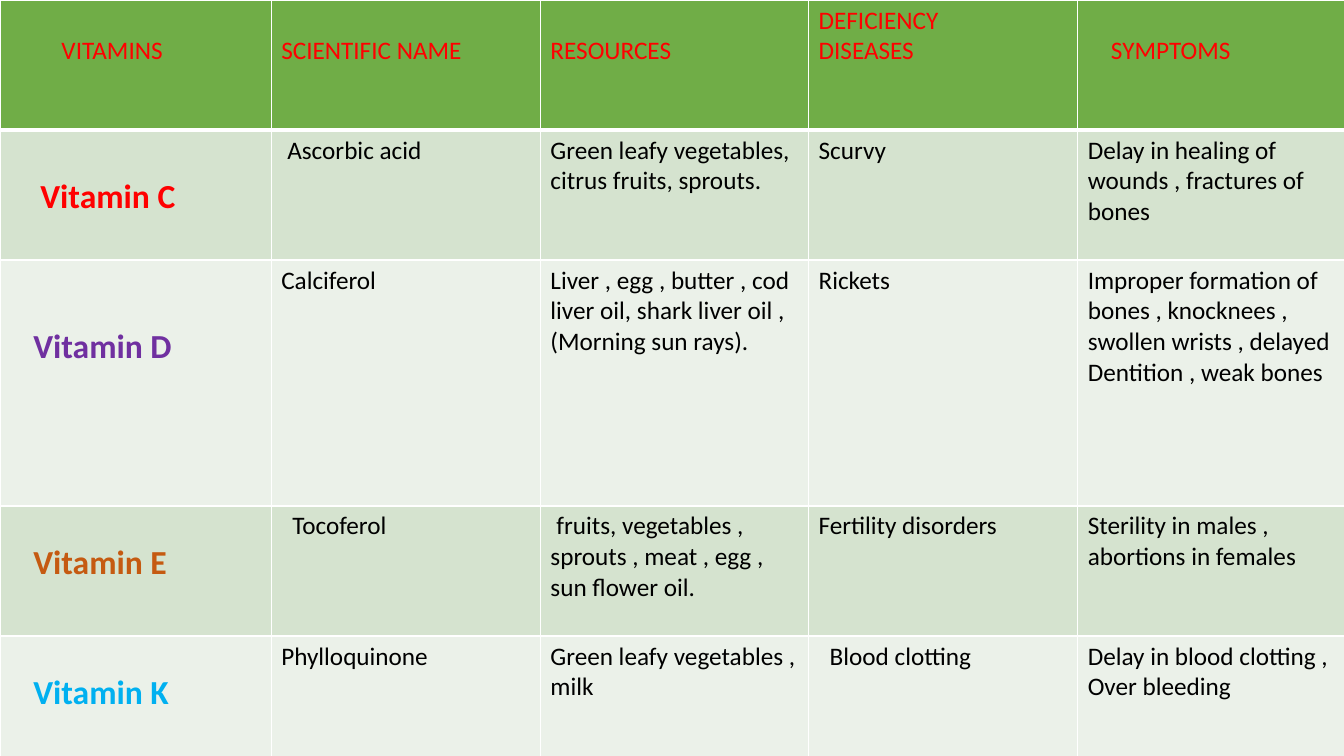
"""Build a slide with a table of vitamins, their sources and deficiency diseases."""
from dataclasses import dataclass

import pptx
import pptx.dml.color
import pptx.oxml
import pptx.oxml.ns
import pptx.util
from pptx.util import Inches


@dataclass(frozen=True)
class Theme:
    """Colours, font and type sizes of the slide."""
    font: str = "Calibri"
    body_size: int = 18
    name_size: int = 24
    header_fill: str = "70AD47"
    bands: tuple = ("D5E3CF", "EBF1E9")
    header_text: str = "FF0000"
    body_text: str = "000000"
    border: str = "FFFFFF"
    names: tuple = ("FF0000", "7030A0", "C55A11", "00B0F0")


HEADERS = ["VITAMINS", "SCIENTIFIC NAME", "RESOURCES", "DEFICIENCY\nDISEASES", "SYMPTOMS"]
VITAMINS = [
    ["Vitamin C", "Ascorbic acid", "Green leafy vegetables, citrus fruits, sprouts.",
     "Scurvy", "Delay in healing of wounds , fractures of bones"],
    ["Vitamin D", "Calciferol",
     "Liver , egg , butter , cod liver oil, shark liver oil ,\n(Morning sun rays).",
     "Rickets",
     "Improper formation of bones , knocknees , swollen wrists , delayed\n"
     "Dentition , weak bones"],
    ["Vitamin E", "Tocoferol", "fruits, vegetables , sprouts , meat , egg , sun flower oil.",
     "Fertility disorders", "Sterility in males , abortions in females"],
    ["Vitamin K", "Phylloquinone", "Green leafy vegetables , milk",
     "Blood clotting", "Delay in blood clotting ,\nOver bleeding"],
]
COL_WIDTHS = [2.69, 2.67, 2.66, 2.67, 2.65]
ROW_HEIGHTS = [1.29, 1.29, 2.44, 1.29, 1.29]
INDENTS = {(0, 0): 0.51, (0, 4): 0.23, (1, 0): 0.3, (2, 0): 0.23, (3, 0): 0.23,
           (4, 0): 0.23, (1, 1): 0.06, (3, 1): 0.11, (3, 2): 0.06, (4, 3): 0.11}
NAME_TOPS = [0.46, 0.66, 0.36, 0.36]


class Deck:
    """Hold the theme and the current slide, and draw elements on it."""

    def __init__(self, prs, theme):
        """Add a blank slide to the presentation."""
        self.theme = theme
        self.s = prs.slides.add_slide(prs.slide_layouts[6])

    def table(self, x, y, widths, heights):
        """Add an empty table with the given column widths and row heights."""
        frame = self.s.shapes.add_table(len(heights), len(widths), Inches(x), Inches(y),
                                        Inches(sum(widths)), Inches(sum(heights)))
        for col, width in zip(frame.table.columns, widths):
            col.width = Inches(width)
        for row, height in zip(frame.table.rows, heights):
            row.height = Inches(height)
        return frame.table

    def borders(self, cell, **widths):
        """Draw the four cell borders, one point wide unless told otherwise."""
        tc_pr = cell._tc.get_or_add_tcPr()
        for side in "LRTB":
            width = pptx.util.Pt(widths.get(side, 1))
            tc_pr.append(pptx.oxml.parse_xml(
                f'<a:ln{side} {pptx.oxml.ns.nsdecls("a")} w="{width}"><a:solidFill>'
                f'<a:srgbClr val="{self.theme.border}"/></a:solidFill></a:ln{side}>'))

    def cell(self, cell, text, fill, color, size, bold=False, top=0.05, indent=0):
        """Fill a table cell and write its styled text."""
        cell.fill.solid()
        cell.fill.fore_color.rgb = pptx.dml.color.RGBColor.from_string(fill)
        cell.margin_top = Inches(top)
        tf = cell.text_frame
        tf.text = text
        style = {"name": self.theme.font, "size": pptx.util.Pt(size), "bold": bold}
        for p in tf.paragraphs:
            if indent:
                p._p.get_or_add_pPr().set("indent", str(Inches(indent)))
            for r in p.runs:
                for key, value in style.items():
                    setattr(r.font, key, value)
                r.font.color.rgb = pptx.dml.color.RGBColor.from_string(color)


def main():
    """Build and save the presentation."""
    prs = pptx.Presentation()
    prs.slide_width, prs.slide_height = Inches(13.33), Inches(7.5)
    theme = Theme()
    deck = Deck(prs, theme)
    table = deck.table(0, 0, COL_WIDTHS, ROW_HEIGHTS)
    for i, row in enumerate([HEADERS] + VITAMINS):
        for j, text in enumerate(row):
            style = {"fill": theme.bands[(i - 1) % 2], "color": theme.body_text,
                     "size": theme.body_size, "indent": INDENTS.get((i, j), 0)}
            if i == 0:
                style.update(fill=theme.header_fill, color=theme.header_text,
                             top=0.05 if "\n" in text else 0.35)
            elif j == 0:
                style.update(color=theme.names[i - 1], size=theme.name_size,
                             bold=True, top=NAME_TOPS[i - 1])
            cell = table.cell(i, j)
            deck.borders(cell, B=3 if i == 0 else 1, T=3 if i == 1 else 1)
            deck.cell(cell, text, **style)
    prs.save("out.pptx")


if __name__ == "__main__":
    main()
